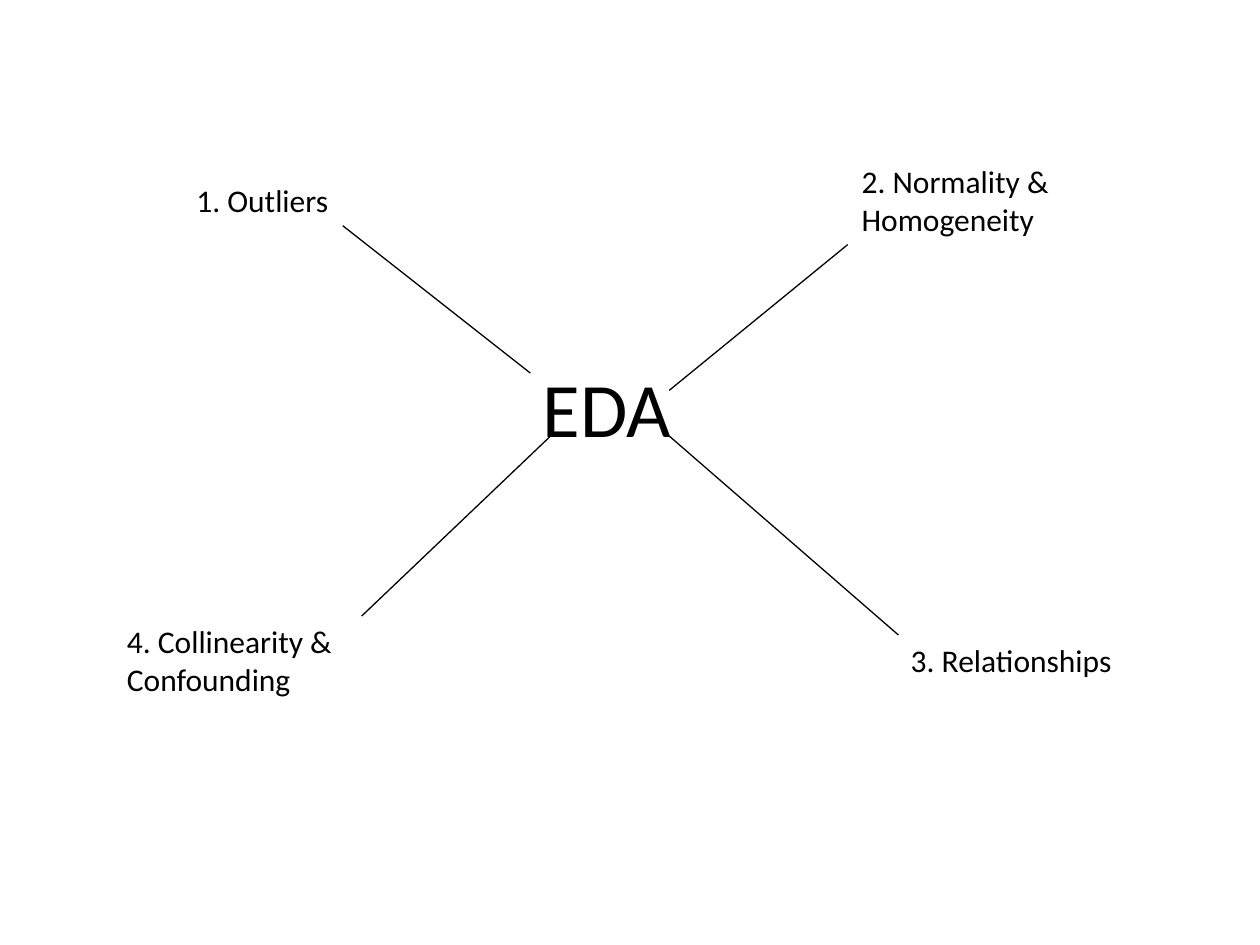
from lxml.etree import SubElement
from pptx import Presentation
from pptx.dml.color import RGBColor
from pptx.enum.shapes import MSO_CONNECTOR
from pptx.enum.text import MSO_AUTO_SIZE
from pptx.oxml.ns import qn
from pptx.util import Cm, Pt

COLORS = {"ink": "000000", "paper": "FFFFFF"}


class MindMap:
    font = "Calibri"
    line_width = Pt(0.75)

    def __init__(self, slide):
        self.slide = slide
        fill = slide.background.fill
        fill.solid()
        fill.fore_color.rgb = RGBColor.from_string(COLORS["paper"])

    def label(self, text, box, size=18, wrap=True):
        sp = self.slide.shapes.add_textbox(*map(Cm, box))
        tf = sp.text_frame
        frame_format = {"word_wrap": wrap, "auto_size": MSO_AUTO_SIZE.SHAPE_TO_FIT_TEXT}
        for name, value in frame_format.items():
            setattr(tf, name, value)
        r = tf.paragraphs[0].add_run()
        r.text = text
        for name, value in {"name": self.font, "size": Pt(size)}.items():
            setattr(r.font, name, value)
        r.font.color.rgb = RGBColor.from_string(COLORS["ink"])

    def branch(self, start, end):
        line = self.slide.shapes.add_connector(
            MSO_CONNECTOR.STRAIGHT, *map(Cm, start + end))
        line.line.width = self.line_width
        line.line.color.rgb = RGBColor.from_string(COLORS["ink"])
        SubElement(line._element.spPr, qn("a:effectLst"))


prs = Presentation()
prs.slide_width, prs.slide_height = Cm(25.4), Cm(19.05)
mind_map = MindMap(prs.slides.add_slide(prs.slide_layouts[6]))

mind_map.label("EDA", (10.69, 7.14, 3.61, 2.13), size=44)

topics = [
    ("1. Outliers", (3.71, 3.53, 3.2, 1.02), False),
    ("2. Normality & Homogeneity", (17.12, 3.15, 5.03, 1.8), True),
    ("3. Relationships", (18.11, 12.8, 4.6, 1.02), False),
    ("4. Collinearity & Confounding", (2.31, 12.42, 5, 1.8), True),
]
for text, box, wrap in topics:
    mind_map.label(text, box, wrap=wrap)

branches = [
    ((6.91, 4.55), (10.69, 7.52)),
    ((13.49, 8.79), (18.11, 12.8)),
    ((7.29, 12.42), (11.1, 8.79)),
    ((13.49, 7.87), (17.09, 4.93)),
]
for start, end in branches:
    mind_map.branch(start, end)

prs.save("out.pptx")
